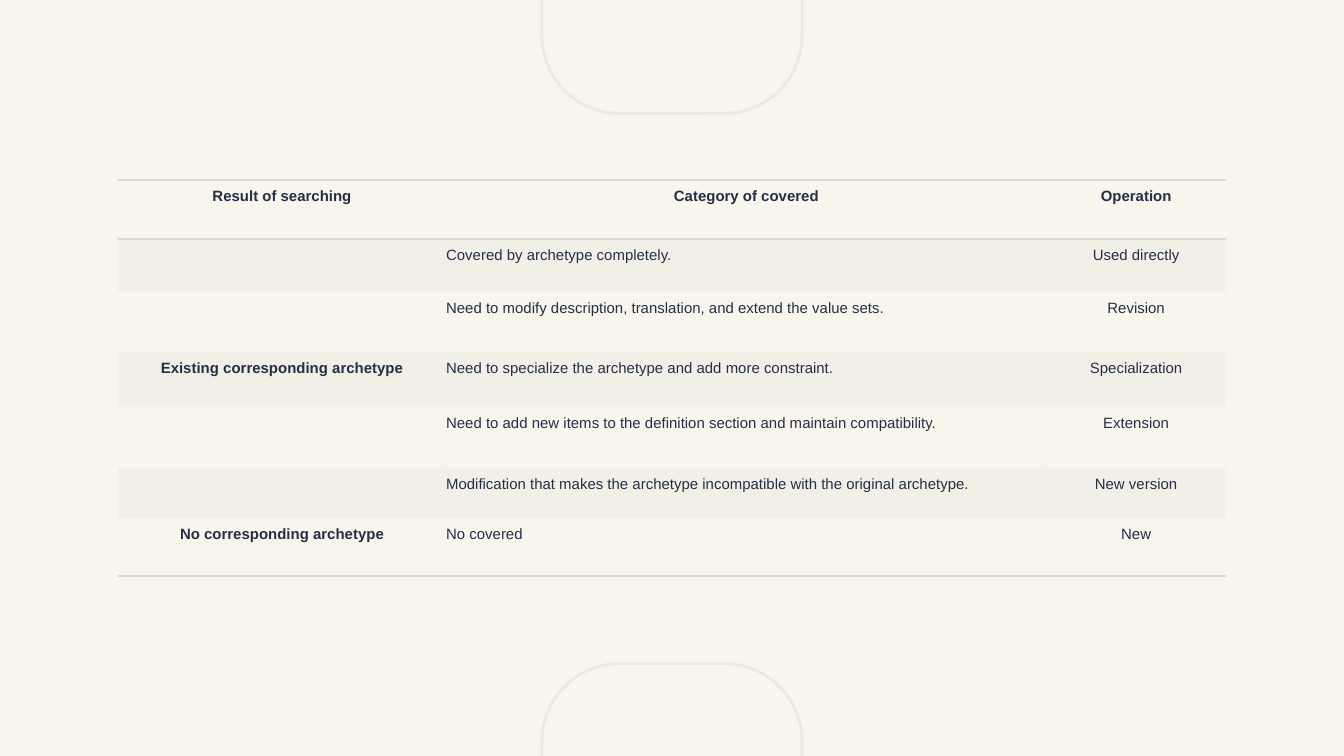
from typing import NamedTuple

from lxml.etree import SubElement
from pptx import Presentation
from pptx.dml.color import RGBColor
from pptx.enum.shapes import MSO_SHAPE
from pptx.enum.text import PP_ALIGN
from pptx.oxml import parse_xml
from pptx.oxml.ns import nsdecls, qn
from pptx.util import Pt

BACKGROUND, FRAME, RULE, INK = "F8F5EC", "ECE9E1", "DADACE", "252E47"
NO_STYLE = "{2D5ABB26-0587-4C30-8999-92F81FD0307C}"
SLIDE_W, SLIDE_H = 720, 405
FRAME_W, FRAME_H, FRAME_VISIBLE = 139.5, 166.5, 60.75
COLUMNS = (175.7, 321.8, 95.8)


class Row(NamedTuple):
    height: float
    result: str
    category: str
    operation: str


ROWS = [
    Row(31.5, "Result of searching", "Category of covered", "Operation"),
    Row(28.3, "", "Covered by archetype completely.", "Used directly"),
    Row(32.5, "", "Need to modify description, translation, and extend the value sets.", "Revision"),
    Row(29.4, "Existing corresponding archetype",
        "Need to specialize the archetype and add more constraint.", "Specialization"),
    Row(32.5, "", "Need to add new items to the definition section and maintain compatibility.",
        "Extension"),
    Row(27.2, "", "Modification that makes the archetype incompatible with the original archetype.",
        "New version"),
    Row(30.7, "No corresponding archetype", "No covered", "New"),
]


def rgb(color: str) -> RGBColor:
    return RGBColor.from_string(color)


def set_attrs(target, values: dict) -> None:
    for name, value in values.items():
        setattr(target, name, value)


def add_frame(s, top: float) -> None:
    """Add a centred rounded outline that runs off the slide edge."""
    sp = s.shapes.add_shape(MSO_SHAPE.ROUNDED_RECTANGLE, Pt((SLIDE_W - FRAME_W) / 2),
                            Pt(top), Pt(FRAME_W), Pt(FRAME_H))
    sp.adjustments[0] = 0.3
    sp.shadow.inherit = False
    sp.fill.background()
    sp.line.color.rgb = rgb(FRAME)
    sp.line.width = Pt(1.5)


def add_border(cell, side: str) -> None:
    cell._tc.get_or_add_tcPr().append(parse_xml(
        f'<a:{side} {nsdecls("a")} w="{Pt(1)}"><a:solidFill>'
        f'<a:srgbClr val="{RULE}"/></a:solidFill></a:{side}>'))


def fill_band(cell) -> None:
    """Fill a cell with the rule colour at 20 % opacity."""
    cell.fill.solid()
    cell.fill.fore_color.rgb = rgb(RULE)
    color = cell._tc.tcPr.find(qn("a:solidFill")).find(qn("a:srgbClr"))
    SubElement(color, qn("a:alpha"), val="20000")


def write_cell(cell, text: str, bold: bool, centred: bool) -> None:
    set_attrs(cell, {"margin_left": 0, "margin_right": 0,
                     "margin_top": Pt(3.6), "margin_bottom": 0})
    if not text:
        return
    p = cell.text_frame.paragraphs[0]
    set_attrs(p, {"alignment": PP_ALIGN.CENTER if centred else PP_ALIGN.LEFT,
                  "line_spacing": 1.07})
    r = p.add_run()
    r.text = text
    set_attrs(r.font, {"name": "Arial", "size": Pt(8), "bold": bold})
    r.font.color.rgb = rgb(INK)


def add_archetype_table(s, left: float, top: float) -> None:
    height = sum(row.height for row in ROWS)
    table = s.shapes.add_table(len(ROWS), len(COLUMNS), Pt(left), Pt(top),
                               Pt(sum(COLUMNS)), Pt(height)).table
    set_attrs(table, {"first_row": False, "horz_banding": False})
    table._tbl.tblPr.find(qn("a:tableStyleId")).text = NO_STYLE
    for column, width in zip(table.columns, COLUMNS):
        column.width = Pt(width)
    for i, row in enumerate(ROWS):
        table.rows[i].height = Pt(row.height)
        header, last = i == 0, i == len(ROWS) - 1
        for j, text in enumerate(row[1:]):
            cell = table.cell(i, j)
            write_cell(cell, text, bold=header or j == 0, centred=header or j != 1)
            if header:
                add_border(cell, "lnT")
            if header or last:
                add_border(cell, "lnB")
            if i % 2:
                fill_band(cell)
            else:
                cell.fill.background()


def main() -> None:
    prs = Presentation()
    set_attrs(prs, {"slide_width": Pt(SLIDE_W), "slide_height": Pt(SLIDE_H)})
    s = prs.slides.add_slide(prs.slide_layouts[6])
    s.background.fill.solid()
    s.background.fill.fore_color.rgb = rgb(BACKGROUND)
    add_frame(s, FRAME_VISIBLE - FRAME_H)
    add_frame(s, SLIDE_H - 49.5)
    add_archetype_table(s, 63.3, 96.4)
    prs.save("out.pptx")


if __name__ == "__main__":
    main()
